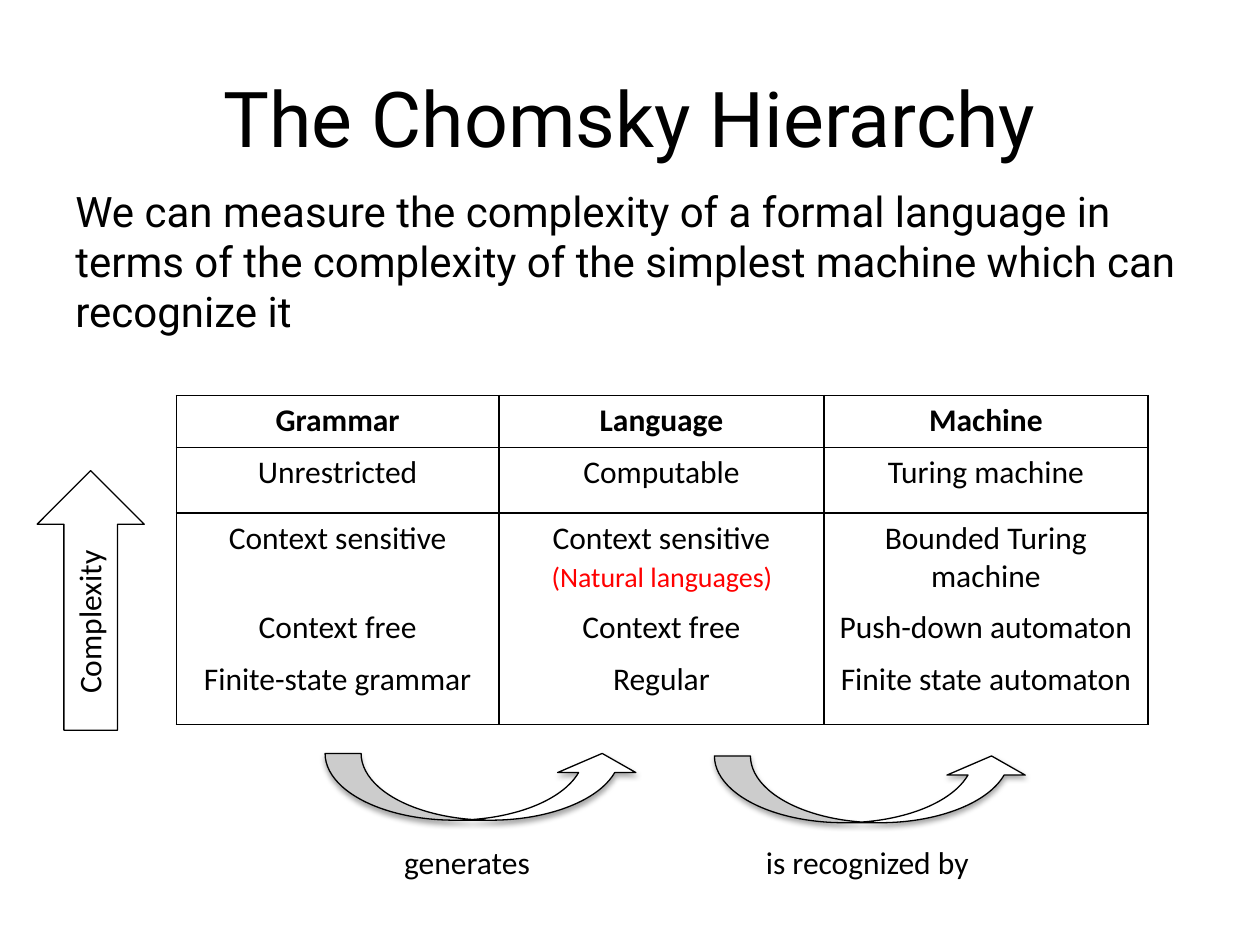
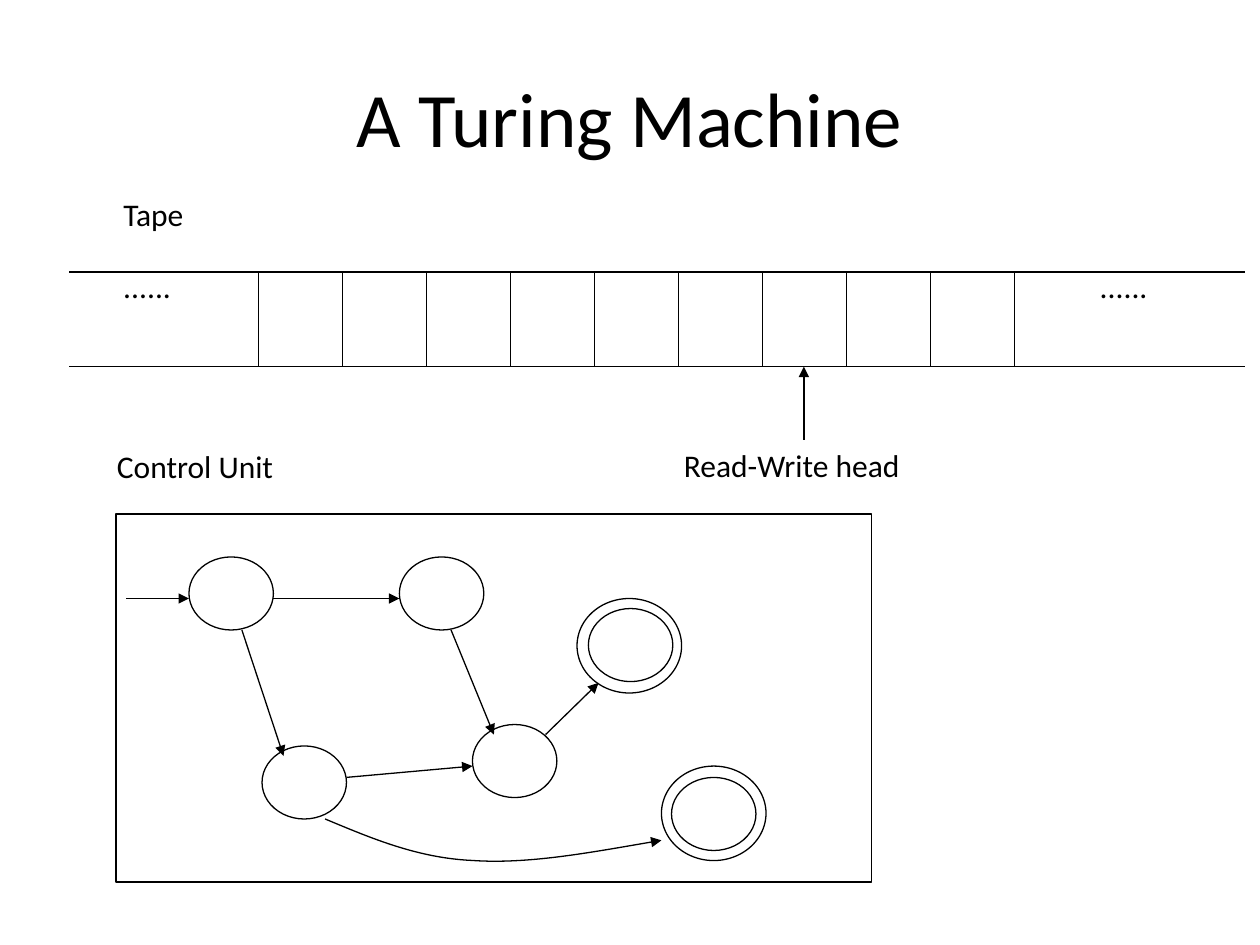
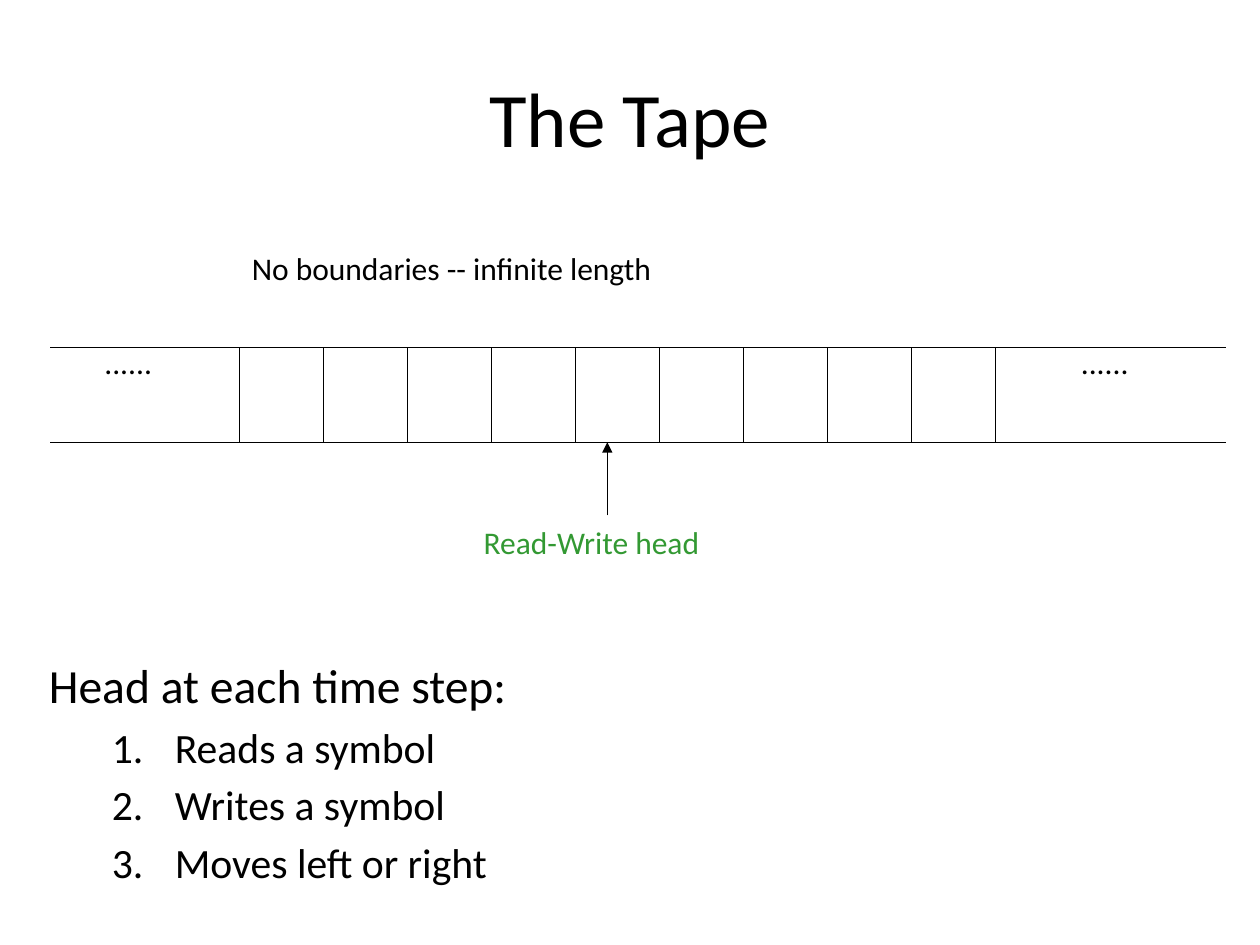
import pptx
import pptx.util
import pptx.dml.color
import pptx.enum.shapes
import pptx.enum.text
import pptx.oxml
import pptx.oxml.ns
from lxml import etree

Inches = pptx.util.Inches
Pt = pptx.util.Pt
qn = pptx.oxml.ns.qn
SHAPE = pptx.enum.shapes.MSO_SHAPE
ALIGN = pptx.enum.text.PP_ALIGN
COLORS = {"ink": "000000", "paper": "FFFFFF", "note": "FF0000", "head": "339933"}
RGB = {role: pptx.dml.color.RGBColor.from_string(value) for role, value in COLORS.items()}
LINE_WIDTH = Pt(0.75)


def write(paragraph, text, size, color="ink", font="Calibri", bold=False):
    run = paragraph.add_run()
    run.text = text
    run.font.size = Pt(size)
    run.font.name = font
    run.font.bold = bold
    run.font.color.rgb = RGB[color]


def draw_line(slide, x1, y1, x2, y2, arrow=False):
    line = slide.shapes.add_connector(
        pptx.enum.shapes.MSO_CONNECTOR.STRAIGHT, Inches(x1), Inches(y1), Inches(x2), Inches(y2))
    line.line.color.rgb = RGB["ink"]
    line.line.width = LINE_WIDTH
    if arrow:
        etree.SubElement(line.line._get_or_add_ln(), qn("a:tailEnd"), type="triangle")
    etree.SubElement(line._element.spPr, qn("a:effectLst"))


prs = pptx.Presentation()
prs.slide_width = Inches(10)
prs.slide_height = Inches(7.5)

slides = []
for heading, font in [
    ("The Chomsky Hierarchy", "Roboto"),
    ("A Turing Machine", "Calibri"),
    ("The Tape", "Calibri"),
]:
    slide = prs.slides.add_slide(prs.slide_layouts[5])
    title = slide.shapes.title
    title.left, title.top, title.width, title.height = map(Inches, (0.5, 0.3, 9, 1.25))
    title.text_frame.vertical_anchor = pptx.enum.text.MSO_ANCHOR.MIDDLE
    title.text_frame.paragraphs[0].alignment = ALIGN.CENTER
    write(title.text_frame.paragraphs[0], heading, 44, font=font)
    slides.append(slide)
hierarchy, machine, tape = slides

intro = hierarchy.shapes.add_textbox(Inches(0.5), Inches(1.42), Inches(9), Inches(4.95))
intro.text_frame.word_wrap = True
write(intro.text_frame.paragraphs[0],
      "We can measure the complexity of a formal language in terms of the complexity "
      "of the simplest machine which can recognize it", 24, font="Roboto")

classes = [
    ("Grammar", "Language", "Machine"),
    ("Unrestricted", "Computable", "Turing machine"),
    ("Context sensitive", "Context sensitive", "Bounded Turing machine"),
    ("Context free", "Context free", "Push-down automaton"),
    ("Finite-state grammar", "Regular", "Finite state automaton"),
]
row_heights = [0.41, 0.52, 0.71, 0.41, 0.56]
class_table = hierarchy.shapes.add_table(
    5, 3, Inches(1.4), Inches(3.14), Inches(7.71), Inches(sum(row_heights))).table
class_table.first_row = False
class_table.horz_banding = False
for column, width in zip(class_table.columns, [2.56, 2.58, 2.57]):
    column.width = Inches(width)
for r, (names, height) in enumerate(zip(classes, row_heights)):
    class_table.rows[r].height = Inches(height)
    ruled = {"lnL": True, "lnR": True, "lnT": r <= 2, "lnB": r in (0, 1, 4)}
    for c, name in enumerate(names):
        cell = class_table.cell(r, c)
        properties = cell._tc.get_or_add_tcPr()
        for side, visible in ruled.items():
            border = etree.SubElement(properties, qn(f"a:{side}"), w="12700")
            if visible:
                ink = etree.SubElement(border, qn("a:solidFill"))
                etree.SubElement(ink, qn("a:srgbClr"), val=COLORS["ink"])
            else:
                etree.SubElement(border, qn("a:noFill"))
        cell.fill.background()
        cell.text_frame.paragraphs[0].alignment = ALIGN.CENTER
        write(cell.text_frame.paragraphs[0], name, 18, bold=r == 0)

states = [(1.5, 4.42), (3.17, 4.42), (3.75, 5.75), (4.67, 4.83), (5.33, 6.17), (2.08, 5.92)]
final_rings = [(4.58, 4.75), (5.25, 6.08)]
outlines = [
    (hierarchy, SHAPE.RIGHT_ARROW, -0.31, 4.34, 2.06, 0.85),
    (hierarchy, SHAPE.CURVED_UP_ARROW, 2.58, 5.98, 2.51, 0.53),
    (hierarchy, SHAPE.CURVED_UP_ARROW, 5.67, 6, 2.51, 0.53),
    (machine, SHAPE.RECTANGLE, 0.92, 4.08, 6, 2.92),
]
outlines += [(machine, SHAPE.OVAL, x, y, 0.67, 0.58) for x, y in states]
outlines += [(machine, SHAPE.OVAL, x, y, 0.83, 0.75) for x, y in final_rings]
for slide, kind, *box in outlines:
    outline = slide.shapes.add_shape(kind, *map(Inches, box))
    outline.fill.background()
    outline.line.color.rgb = RGB["ink"]
    outline.line.width = LINE_WIDTH
    outline.shadow.inherit = False
    if kind == SHAPE.RIGHT_ARROW:
        outline.rotation = 270
    if kind == SHAPE.CURVED_UP_ARROW:
        outline.fill.solid()
        outline.fill.fore_color.rgb = RGB["paper"]
        for i, value in enumerate([0.54, 1.172, 0.287]):
            outline.adjustments[i] = value
        effects = outline._element.spPr.find(qn("a:effectLst"))
        shadow = etree.SubElement(effects, qn("a:outerShdw"), blurRad="40000", dist="23000",
                                  dir="5400000", rotWithShape="0")
        shade = etree.SubElement(shadow, qn("a:srgbClr"), val=COLORS["ink"])
        etree.SubElement(shade, qn("a:alpha"), val="35000")

for transition in [
    (1, 4.75, 1.5, 4.75),
    (2.17, 4.75, 3.17, 4.75),
    (3.58, 5, 3.92, 5.83),
    (4.33, 5.83, 4.75, 5.42),
    (1.92, 5, 2.25, 6),
    (2.75, 6.17, 3.75, 6.08),
]:
    draw_line(machine, *transition, arrow=True)

bend = [(2.94, 6.65), (3.31, 6.81), (3.75, 6.83), (4.19, 6.86), (4.72, 6.76), (5.25, 6.67)]
builder = machine.shapes.build_freeform(Inches(2.58), Inches(6.5))
builder.add_line_segments([(Inches(x), Inches(y)) for x, y in bend], close=False)
long_transition = builder.convert_to_shape()
long_transition.fill.background()
long_transition.line.color.rgb = RGB["ink"]
long_transition.line.width = LINE_WIDTH
long_transition.shadow.inherit = False
etree.SubElement(long_transition.line._get_or_add_ln(), qn("a:tailEnd"), type="triangle")
segments = list(long_transition._element.spPr.iter(qn("a:lnTo")))
for start in (0, 3):
    curve = etree.Element(qn("a:cubicBezTo"))
    segments[start].addprevious(curve)
    for segment in segments[start:start + 3]:
        curve.append(segment[0])
        segment.getparent().remove(segment)

labels = [
    (hierarchy, "Complexity", 0.03, 4.73, 1.35, 0.4, 18, "ink", 270),
    (hierarchy, "generates", 3.11, 6.64, 1.23, 0.4, 18, "ink", 0),
    (hierarchy, "is recognized by", 5.98, 6.64, 1.85, 0.4, 18, "ink", 0),
    (hierarchy, "(Natural languages)", 4.28, 4.39, 1.98, 0.37, 16, "note", 0),
    (machine, "Tape", 0.88, 1.5, 0.69, 0.4, 18, "ink", 0),
    (machine, "Read-Write head", 5.33, 3.49, 1.93, 0.4, 18, "ink", 0),
    (machine, "Control Unit", 0.83, 3.5, 1.51, 0.4, 18, "ink", 0),
    (tape, "Read-Write head", 3.74, 4.1, 3.77, 0.63, 18, "head", 0),
    (tape, "No boundaries -- infinite length", 1.9, 1.93, 6.76, 0.63, 18, "ink", 0),
]

for slide, left, top, head_x in [(machine, 0.55, 2.16, 6.38), (tape, 0.4, 2.76, 4.82)]:
    bottom = top + 0.75
    for edge in (top, bottom):
        draw_line(slide, left, edge, left + 9.33, edge)
    for i in range(10):
        divider = left + 1.5 + i * 2 / 3
        draw_line(slide, divider, top, divider, bottom)
    draw_line(slide, head_x, bottom + 0.58, head_x, bottom, arrow=True)
    for offset in (0.33, 8.08):
        labels.append((slide, "......", left + offset, top - 0.09, 0.87, 0.63, 18, "ink", 0))

for slide, text, left, top, width, height, size, color, rotation in labels:
    label = slide.shapes.add_textbox(Inches(left), Inches(top), Inches(width), Inches(height))
    label.rotation = rotation
    label.text_frame.word_wrap = False
    label.text_frame.auto_size = pptx.enum.text.MSO_AUTO_SIZE.SHAPE_TO_FIT_TEXT
    write(label.text_frame.paragraphs[0], text, size, color)

steps = tape.shapes.add_textbox(Inches(0.29), Inches(5.16), Inches(9.4), Inches(1.95)).text_frame
steps.word_wrap = True
write(steps.paragraphs[0], "Head at each time step:", 27.2)
for action in ["Reads a symbol", "Writes a symbol", "Moves left or right"]:
    step = steps.add_paragraph()
    step.level = 1
    step.space_before = Pt(4.5)
    numbering = step._p.get_or_add_pPr()
    numbering.set("marL", str(Inches(1)))
    numbering.set("indent", str(-Inches(0.5)))
    etree.SubElement(numbering, qn("a:buFont"), typeface="+mj-lt")
    etree.SubElement(numbering, qn("a:buAutoNum"), type="arabicPeriod")
    write(step, action, 23.8)

prs.save("out.pptx")
